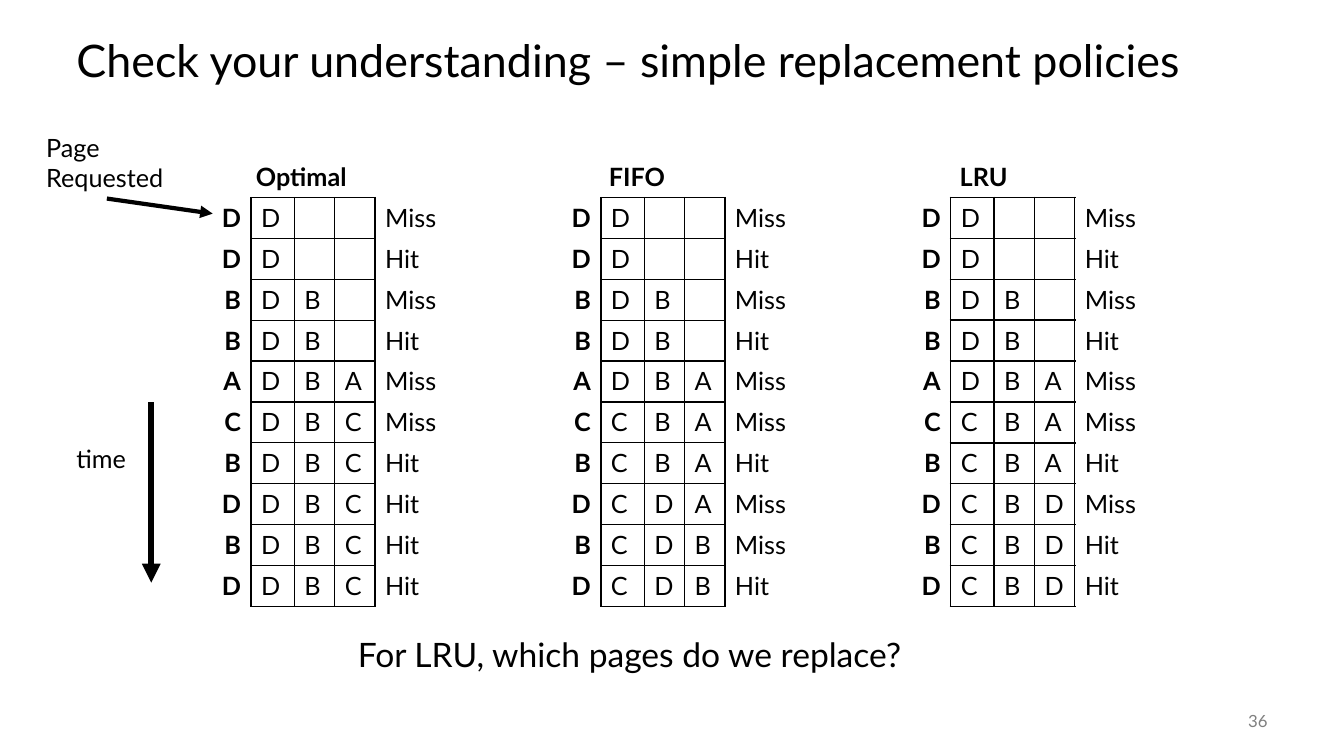
from itertools import accumulate

from lxml import etree
from pptx import Presentation
from pptx import util as u
from pptx.dml import color
from pptx.enum import shapes, text
from pptx.oxml import ns

REQUESTS = "DDBBACBDBD"
POLICIES = [
    ("Optimal", 2.44, "D D DB DB DBA DBC DBC DBC DBC DBC"),
    ("FIFO", 5.94, "D D DB DB DBA CBA CBA CDA CDB CDB"),
    ("LRU", 9.42, "D D DB DB DBA CBA CBA CBD CBD CBD"),
]
COLUMN_WIDTHS = [0.56, 0.43, 0.4, 0.4, 1]
FIRST_TABLE, TABLE_STEP, TABLE_TOP = 1.93, 3.47, 1.96
ROW_HEIGHT = 29.2 / 72
OVERHANG = 0.01


class PolicySlide:
    """Draws text, lines and frame tables in one style on one slide."""

    colors = {"ink": "000000", "number": "808080"}
    font = "Lato"

    def __init__(self, slide):
        self.slide = slide

    def rgb(self, name):
        return color.RGBColor.from_string(self.colors[name])

    def style(self, paragraph, size=18, bold=False, ink="ink", align=text.PP_ALIGN.LEFT):
        paragraph.alignment = align
        for run in paragraph.runs:
            run.font.name = self.font
            run.font.size = u.Pt(size)
            run.font.bold = bold
            run.font.color.rgb = self.rgb(ink)

    def label(self, words, left, top, width, height, middle=False, spacing=None, **look):
        frame = self.slide.shapes.add_textbox(*map(u.Inches, (left, top, width, height))).text_frame
        frame.word_wrap = True
        if middle:
            frame.vertical_anchor = text.MSO_ANCHOR.MIDDLE
        frame.text = words
        frame.paragraphs[0].line_spacing = spacing
        self.style(frame.paragraphs[0], **look)

    def line(self, x1, y1, x2, y2, weight=1, arrow=False):
        line = self.slide.shapes.add_connector(
            shapes.MSO_CONNECTOR.STRAIGHT, *map(u.Inches, (x1, y1, x2, y2)))
        line.line.color.rgb = self.rgb("ink")
        line.line.width = u.Pt(weight)
        if arrow:
            etree.SubElement(line.line._get_or_add_ln(), ns.qn("a:tailEnd"), type="triangle")
        etree.SubElement(line._element.spPr, ns.qn("a:effectLst"))

    def borders(self, cell, ruled):
        properties = cell._tc.get_or_add_tcPr()
        for side in "LRTB":
            edge = etree.SubElement(properties, ns.qn(f"a:ln{side}"), w=str(u.Pt(1)))
            if side in ruled:
                fill = etree.SubElement(edge, ns.qn("a:solidFill"))
                etree.SubElement(fill, ns.qn("a:srgbClr"), val=self.colors["ink"])
            else:
                etree.SubElement(edge, ns.qn("a:noFill"))
        cell.fill.background()

    def frame_table(self, left, states, ruled=True):
        table = self.slide.shapes.add_table(
            len(states), len(COLUMN_WIDTHS), u.Inches(left), u.Inches(TABLE_TOP),
            u.Inches(sum(COLUMN_WIDTHS)), u.Inches(ROW_HEIGHT * len(states))).table
        table.first_row = table.horz_banding = False
        for column, width in zip(table.columns, COLUMN_WIDTHS):
            column.width = u.Inches(width)
        previous = ""
        for row, (request, pages) in enumerate(zip(REQUESTS, states)):
            outcome = "Hit" if pages == previous else "Miss"
            previous = pages
            for col, words in enumerate([request, *pages.ljust(3), outcome]):
                cell = table.cell(row, col)
                cell.text = words.strip()
                align = text.PP_ALIGN.LEFT if col else text.PP_ALIGN.RIGHT
                self.style(cell.text_frame.paragraphs[0], bold=col == 0, align=align)
                self.borders(cell, {0: "R", 4: "L"}.get(col, "LRTB") if ruled else "")

    def frame_grid(self, left, rows):
        edges = [left + offset for offset in accumulate(COLUMN_WIDTHS[:-1])]
        bottom = TABLE_TOP + rows * ROW_HEIGHT
        for x in edges:
            self.line(x, TABLE_TOP - OVERHANG, x, bottom + OVERHANG)
        for row in range(rows + 1):
            y = TABLE_TOP + row * ROW_HEIGHT
            self.line(edges[0] - OVERHANG, y, edges[-1] + OVERHANG, y)


def main():
    deck = Presentation()
    deck.slide_width, deck.slide_height = u.Inches(13.33), u.Inches(7.5)
    page = PolicySlide(deck.slides.add_slide(deck.slide_layouts[6]))
    page.label("Check your understanding – simple replacement policies",
               0.66, 0.25, 12, 0.75, middle=True, spacing=0.9, size=32)
    page.label("36", 11.67, 6.95, 1, 0.4, middle=True, size=12, ink="number",
               align=text.PP_ALIGN.RIGHT)
    for index, (policy, heading_left, states) in enumerate(POLICIES):
        table_left = FIRST_TABLE + index * TABLE_STEP
        drawn_grid = policy == "LRU"
        page.frame_table(table_left, states.split(), ruled=not drawn_grid)
        if drawn_grid:
            page.frame_grid(table_left, len(REQUESTS))
        page.label(policy, heading_left, 1.55, 1.31, 0.4, bold=True)
    page.line(1.5, 3.99, 1.5, 5.78, weight=4.5, arrow=True)
    page.label("time", 0.66, 4.35, 0.76, 0.4)
    page.line(1.06, 1.97, 2.11, 2.12, weight=3, arrow=True)
    page.label("Page Requested", 0.36, 1.26, 1.4, 0.71)
    page.label("For LRU, which pages do we replace?", 3.45, 6.24, 6.42, 0.5, size=24)
    deck.save("out.pptx")


if __name__ == "__main__":
    main()
